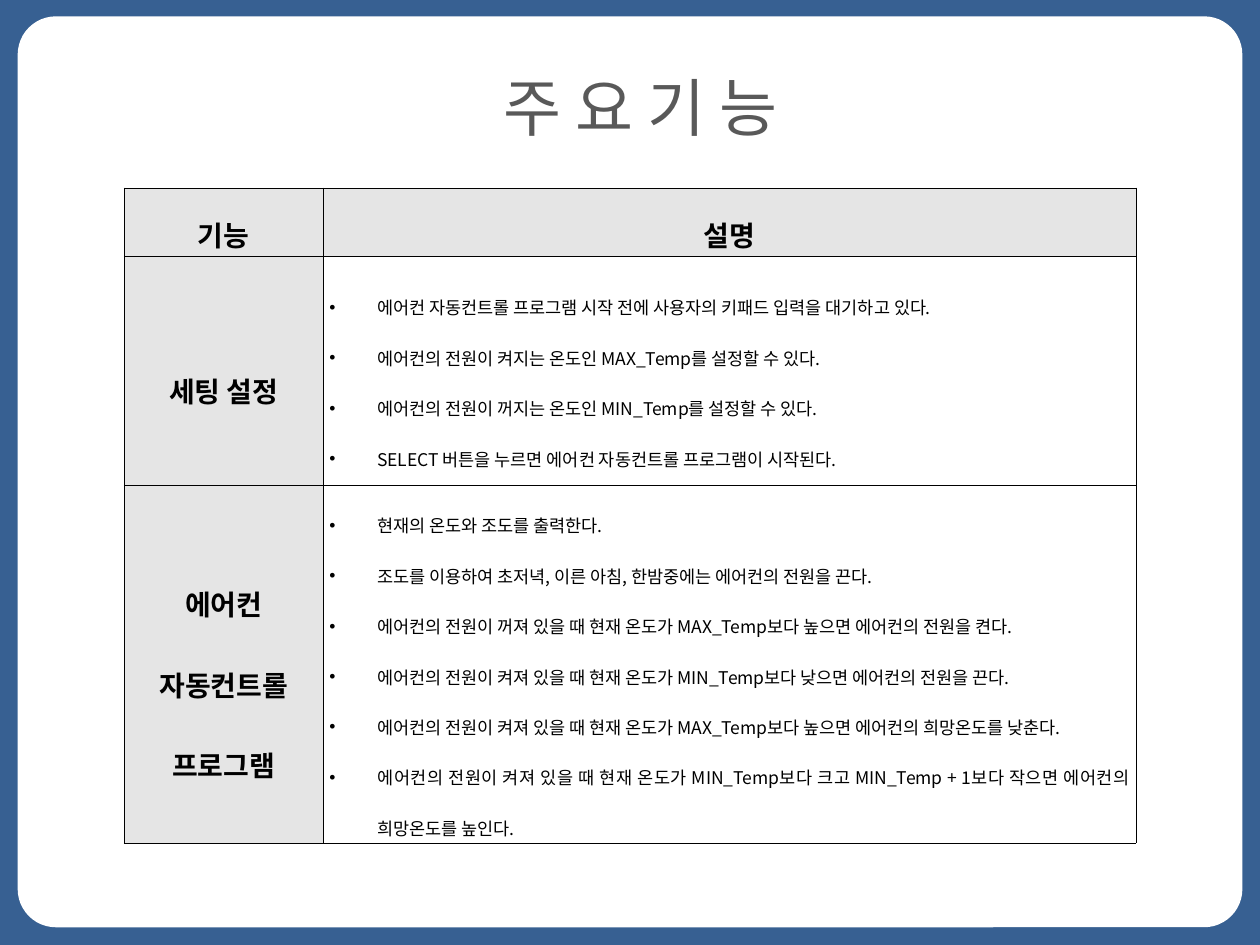
"""Build the slide that lists the main functions of the air-conditioner controller."""
from lxml import etree
from pptx import Presentation
from pptx import util as u
from pptx.dml.color import RGBColor
from pptx.enum import shapes, text
from pptx.oxml.ns import qn

HEADINGS = ["기능", "설명"]
FUNCTIONS = [
    (["세팅 설정"], [
        "에어컨 자동컨트롤 프로그램 시작 전에 사용자의 키패드 입력을 대기하고 있다.",
        "에어컨의 전원이 켜지는 온도인 MAX_Temp를 설정할 수 있다.",
        "에어컨의 전원이 꺼지는 온도인 MIN_Temp를 설정할 수 있다.",
        "SELECT 버튼을 누르면 에어컨 자동컨트롤 프로그램이 시작된다.",
    ]),
    (["에어컨", "자동컨트롤", "프로그램"], [
        "현재의 온도와 조도를 출력한다.",
        "조도를 이용하여 초저녁, 이른 아침, 한밤중에는 에어컨의 전원을 끈다.",
        "에어컨의 전원이 꺼져 있을 때 현재 온도가 MAX_Temp보다 높으면 에어컨의 전원을 켠다.",
        "에어컨의 전원이 켜져 있을 때 현재 온도가 MIN_Temp보다 낮으면 에어컨의 전원을 끈다.",
        "에어컨의 전원이 켜져 있을 때 현재 온도가 MAX_Temp보다 높으면 에어컨의 희망온도를 낮춘다.",
        "에어컨의 전원이 켜져 있을 때 현재 온도가 MIN_Temp보다 크고 MIN_Temp + 1보다 작으면 "
        "에어컨의 희망온도를 높인다.",
    ]),
]


def colour(hex_code):
    """Turn a hex string into a colour."""
    return RGBColor.from_string(hex_code)


class Board:
    """Hold the style and the slide, on a grid of 100 columns by 75 rows."""

    FONT = "Noto Sans CJK KR"
    BLUE, WHITE, GREY, INK, TITLE = "376092", "FFFFFF", "E5E5E5", "000000", "595959"
    COLUMNS, ROWS = 100, 75

    def __init__(self, deck):
        """Start a title-only slide in the deck."""
        self.cell_width = deck.slide_width / self.COLUMNS
        self.cell_height = deck.slide_height / self.ROWS
        self.slide = deck.slides.add_slide(deck.slide_layouts[5])

    def across(self, columns):
        """Give the width of a number of columns."""
        return u.Emu(round(columns * self.cell_width))

    def down(self, rows):
        """Give the height of a number of rows."""
        return u.Emu(round(rows * self.cell_height))

    def box(self, left, top, width, height):
        """Give a place on the grid as lengths."""
        return self.across(left), self.down(top), self.across(width), self.down(height)

    def panel(self, preset, place, fill):
        """Add a plain filled shape."""
        panel = self.slide.shapes.add_shape(preset, *self.box(*place))
        panel.shadow.inherit = False
        panel.fill.solid()
        panel.fill.fore_color.rgb = colour(fill)
        panel.line.fill.background()
        return panel

    def add_words(self, paragraph, words, size, ink, bold=False):
        """Add one run of text to a paragraph."""
        run = paragraph.add_run()
        run.text = words
        run.font.size, run.font.bold = u.Pt(size), bold
        run.font.color.rgb = colour(ink)
        run.font.name = self.FONT
        east_asian = etree.Element(qn("a:ea"), typeface=self.FONT)
        run.font._element.find(qn("a:latin")).addnext(east_asian)

    def title(self, words, place):
        """Move the title placeholder to the front and fill it."""
        title = self.slide.shapes.title
        title.left, title.top, title.width, title.height = self.box(*place)
        title.element.getparent().append(title.element)
        title.text_frame.vertical_anchor = text.MSO_ANCHOR.MIDDLE
        paragraph = title.text_frame.paragraphs[0]
        paragraph.alignment = text.PP_ALIGN.CENTER
        self.add_words(paragraph, words, 36, self.TITLE)

    def table(self, left, top, widths, heights):
        """Add an unstyled table with the given columns and rows."""
        place = self.box(left, top, sum(widths), sum(heights))
        table = self.slide.shapes.add_table(len(heights), len(widths), *place).table
        table.first_row = table.horz_banding = False
        for column, width in zip(table.columns, widths):
            column.width = self.across(width)
        for row, height in zip(table.rows, heights):
            row.height = self.down(height)
        return table

    def border(self, cell):
        """Draw a thin line on each side of a cell."""
        properties = cell._tc.get_or_add_tcPr()
        for order, side in enumerate(("lnL", "lnR", "lnT", "lnB")):
            line = etree.Element(qn(f"a:{side}"), w=str(u.Pt(0.28)))
            fill = etree.SubElement(line, qn("a:solidFill"))
            etree.SubElement(fill, qn("a:srgbClr"), val=self.INK)
            properties.insert(order, line)

    def bullet(self, paragraph):
        """Give a paragraph a hanging bullet."""
        properties = paragraph._p.get_or_add_pPr()
        indent = self.across(3.8)
        properties.set("marL", str(indent))
        properties.set("indent", str(-indent))
        etree.SubElement(properties, qn("a:buFont"), typeface="Arial")
        etree.SubElement(properties, qn("a:buChar"), char="•")

    def fill_cell(self, cell, lines, spacing=2.0, label=True):
        """Fill a bold grey label cell or a bulleted description cell."""
        cell.margin_left = cell.margin_right = self.across(0.5)
        cell.margin_top = cell.margin_bottom = self.down(0.1)
        cell.vertical_anchor = text.MSO_ANCHOR.MIDDLE
        cell.fill.solid()
        cell.fill.fore_color.rgb = colour(self.GREY if label else self.WHITE)
        self.border(cell)
        frame = cell.text_frame
        for order, line in enumerate(lines):
            paragraph = frame.add_paragraph() if order else frame.paragraphs[0]
            paragraph.line_spacing = spacing
            paragraph.alignment = text.PP_ALIGN.CENTER if label else text.PP_ALIGN.JUSTIFY
            if not label:
                self.bullet(paragraph)
            self.add_words(paragraph, line, 16 if label else 10, self.INK, label)


def main():
    """Build and save the deck."""
    deck = Presentation()
    deck.slide_width, deck.slide_height = u.Inches(10), u.Inches(7.5)
    board = Board(deck)
    preset = shapes.MSO_SHAPE
    board.panel(preset.RECTANGLE, (0, 0, board.COLUMNS, board.ROWS), board.BLUE)
    sheet = board.panel(preset.ROUNDED_RECTANGLE, (1.4, 1.3, 97.2, 72.3), board.WHITE)
    sheet.adjustments[0] = 0.042

    table = board.table(9.85, 14.9, (15.8, 64.5), (5.4, 18.2, 28.4))
    for column, heading in enumerate(HEADINGS):
        board.fill_cell(table.cell(0, column), [heading], spacing=1.6)
    for row, (function, descriptions) in enumerate(FUNCTIONS, 1):
        board.fill_cell(table.cell(row, 0), function)
        board.fill_cell(table.cell(row, 1), descriptions, label=False)

    board.title("주 요 기 능", (21.7, 5.3, 58.2, 6.3))
    deck.save("out.pptx")


if __name__ == "__main__":
    main()
